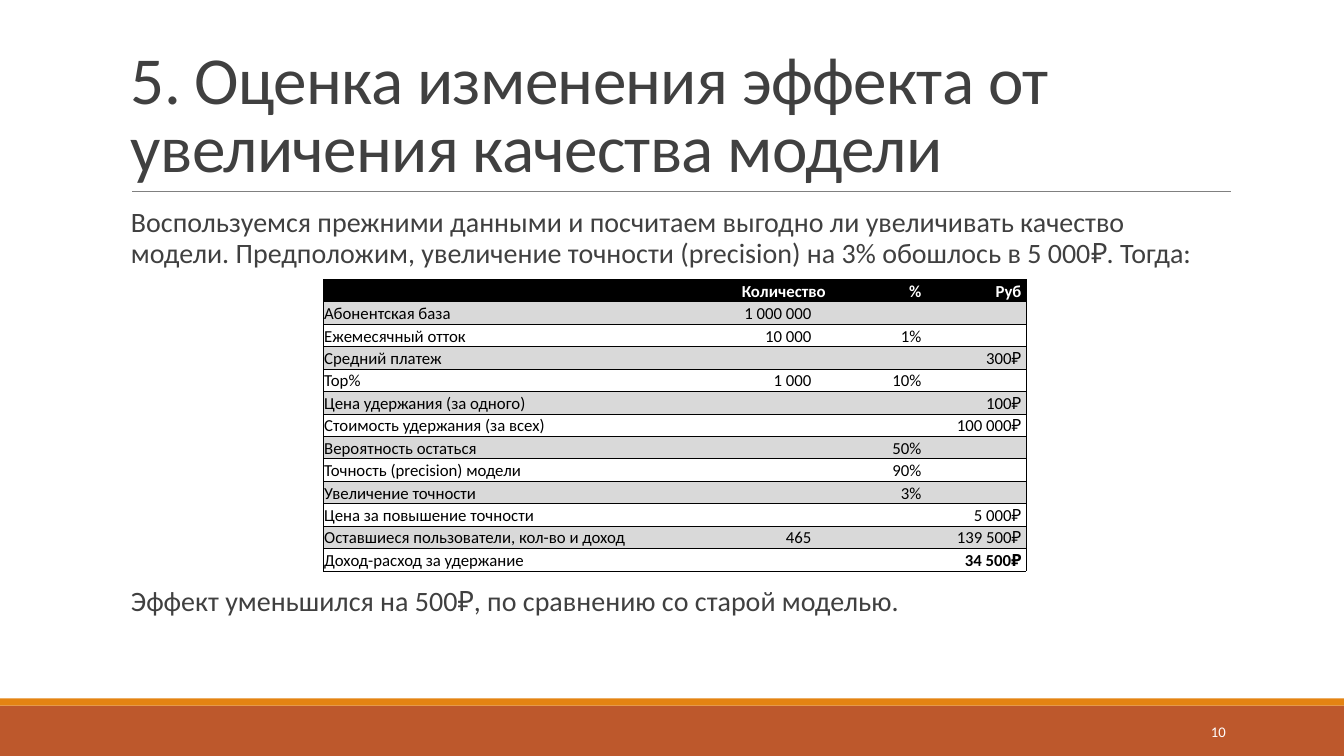
from lxml import etree
from pptx import Presentation
from pptx.dml import color
from pptx.enum import shapes, text
from pptx.oxml import ns
from pptx.util import Cm, Pt

FONT = "Calibri"
INK, BLACK, WHITE, GREY = "404040", "000000", "FFFFFF", "D9D9D9"
LEFT, RIGHT = text.PP_ALIGN.LEFT, text.PP_ALIGN.RIGHT
TOP, MIDDLE, BOTTOM = text.MSO_ANCHOR.TOP, text.MSO_ANCHOR.MIDDLE, text.MSO_ANCHOR.BOTTOM

TITLE = "5. Оценка изменения эффекта от увеличения качества модели"
INTRO = ("Воспользуемся прежними данными и посчитаем выгодно ли увеличивать качество модели. "
         "Предположим, увеличение точности (precision) на 3% обошлось в 5 000₽. Тогда:")
CONCLUSION = "Эффект уменьшился на 500₽, по сравнению со старой моделью."

COLUMN_WIDTHS = [9.27, 3.51, 2.31, 2.62]
ROWS = [
    ["", "Количество", "%", "Руб"],
    ["Абонентская база", "1\u00a0000\u00a0000", "", ""],
    ["Ежемесячный отток", "10\u00a0000", "1%", ""],
    ["Средний платеж", "", "", "300₽"],
    ["Top%", "1\u00a0000", "10%", ""],
    ["Цена удержания (за одного)", "", "", "100₽"],
    ["Стоимость удержания (за всех)", "", "", "100\u00a0000₽"],
    ["Вероятность остаться", "", "50%", ""],
    ["Точность (precision) модели", "", "90%", ""],
    ["Увеличение точности", "", "3%", ""],
    ["Цена за повышение точности", "", "", "5\u00a0000₽"],
    ["Оставшиеся пользователи, кол-во и доход", "465", "", "139\u00a0500₽"],
    ["Доход-расход за удержание", "", "", "34\u00a0500₽"],
]


def rgb(value):
    return color.RGBColor.from_string(value)


def apply(target, values):
    for name, value in values.items():
        setattr(target, name, value)


def margins(left, top, right, bottom):
    sides = zip(("left", "top", "right", "bottom"), (left, top, right, bottom))
    return {f"margin_{side}": Cm(size) for side, size in sides}


def write(para, words, size, ink, align=LEFT, bold=False, spacing=None):
    apply(para, {"alignment": align, "line_spacing": spacing})
    span = para.add_run()
    span.text = words
    apply(span.font, {"name": FONT, "size": Pt(size), "bold": bold})
    span.font.color.rgb = rgb(ink)
    return span


def add_text(page, box, words, size, ink=INK, anchor=TOP, inset=(0, 0.13, 0, 0.13), **style):
    frame = page.shapes.add_textbox(*map(Cm, box)).text_frame
    apply(frame, {"word_wrap": True, "vertical_anchor": anchor, **margins(*inset)})
    return write(frame.paragraphs[0], words, size, ink, **style)


def add_bar(page, box, fill):
    bar = page.shapes.add_shape(shapes.MSO_SHAPE.RECTANGLE, *map(Cm, box))
    bar.shadow.inherit = False
    bar.fill.solid()
    bar.fill.fore_color.rgb = rgb(fill)
    bar.line.fill.background()


def add_heading(page, box):
    left, top, width, height = box
    span = add_text(page, box, TITLE, 48, anchor=BOTTOM,
                    inset=(0.25, 0.13, 0.25, 0.13), spacing=0.85)
    span.font._element.set("spc", "-50")
    base = top + height
    rule = page.shapes.add_connector(shapes.MSO_CONNECTOR.STRAIGHT, Cm(left + 0.28), Cm(base),
                                     Cm(left + width + 0.02), Cm(base))
    rule.line.color.rgb = rgb("808080")
    rule.line.width = Pt(0.5)
    etree.SubElement(rule._element.spPr, ns.qn("a:effectLst"))


def add_border(cell, side, visible):
    line = etree.SubElement(cell._tc.get_or_add_tcPr(), ns.qn(f"a:ln{side}"), w=str(Pt(0.5)))
    if visible:
        fill = etree.SubElement(line, ns.qn("a:solidFill"))
        etree.SubElement(fill, ns.qn("a:srgbClr"), val=BLACK)
    else:
        etree.SubElement(line, ns.qn("a:noFill"))


def fill_cell(cell, words, row, column):
    last_column = len(COLUMN_WIDTHS) - 1
    for side, visible in (("L", column == 0), ("R", column == last_column), ("T", True), ("B", True)):
        add_border(cell, side, visible)
    header = row == 0
    cell.fill.solid()
    cell.fill.fore_color.rgb = rgb(BLACK if header else GREY if row % 2 else WHITE)
    right = 0.02
    if column == 1:
        right = 0.12 if header else 0.48
    elif column == last_column:
        right = 0.12
    apply(cell, {"vertical_anchor": BOTTOM, **margins(0.02, 0.02, right, 0)})
    para = cell.text_frame.paragraphs[0]
    if words:
        total = row == len(ROWS) - 1 and column == last_column
        write(para, words, 12, WHITE if header else BLACK,
              align=RIGHT if column else LEFT, bold=header or total)
    else:
        etree.SubElement(para._p, ns.qn("a:endParaRPr"), sz="1200")


def add_costs(page, box):
    table = page.shapes.add_table(len(ROWS), len(COLUMN_WIDTHS), *map(Cm, box)).table
    apply(table, {"first_row": False, "horz_banding": False})
    for column, width in zip(table.columns, COLUMN_WIDTHS):
        column.width = Cm(width)
    for index, values in enumerate(ROWS):
        table.rows[index].height = Cm(box[3] / len(ROWS))
        for column, words in enumerate(values):
            fill_cell(table.cell(index, column), words, index, column)


def add_footer(page, box):
    left, top, width, height = box
    add_bar(page, (left, top + 0.18, width, height - 0.18), "BD582C")
    add_bar(page, (left, top, width, 0.18), "E48312")
    add_text(page, (left + 27.51, top + 0.33, 3.63, 1.02), "10", 10.5, WHITE,
             anchor=MIDDLE, inset=(0.25, 0.13, 0.25, 0.13), align=RIGHT)


def add_body(page, box):
    left, top, width, height = box
    add_text(page, (left, top, width, 1.8), INTRO, 20, spacing=0.9)
    add_costs(page, (left + 4.85, top + 1.91, sum(COLUMN_WIDTHS), 7.35))
    add_text(page, (left, top + height - 1.65, width, 1), CONCLUSION, 20, spacing=0.9)


deck = Presentation()
apply(deck, {"slide_width": Cm(33.87), "slide_height": Cm(19.05)})
page = deck.slides.add_slide(deck.slide_layouts[6])
add_footer(page, (0, 17.6, 33.87, 1.45))
add_heading(page, (3.05, 0.79, 27.94, 4.04))
add_body(page, (3.3, 5.13, 27.69, 11.18))
deck.save("out.pptx")
